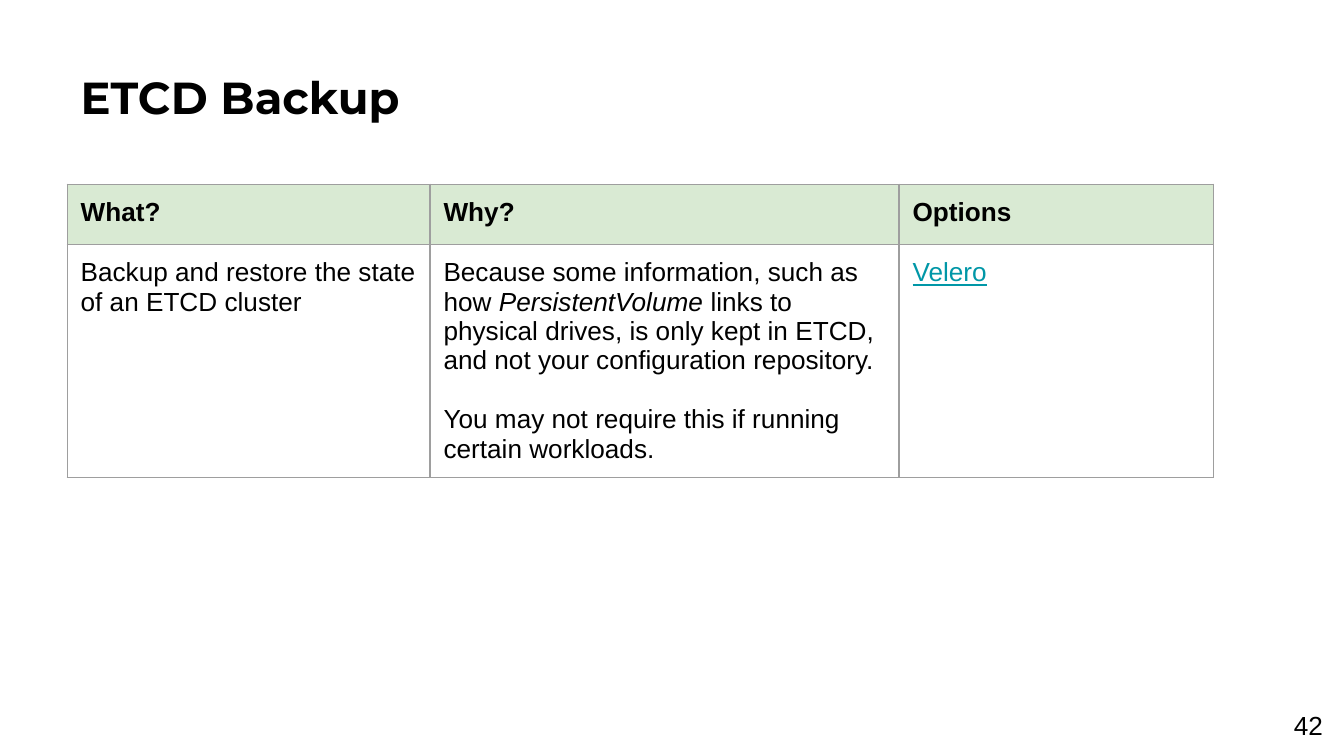
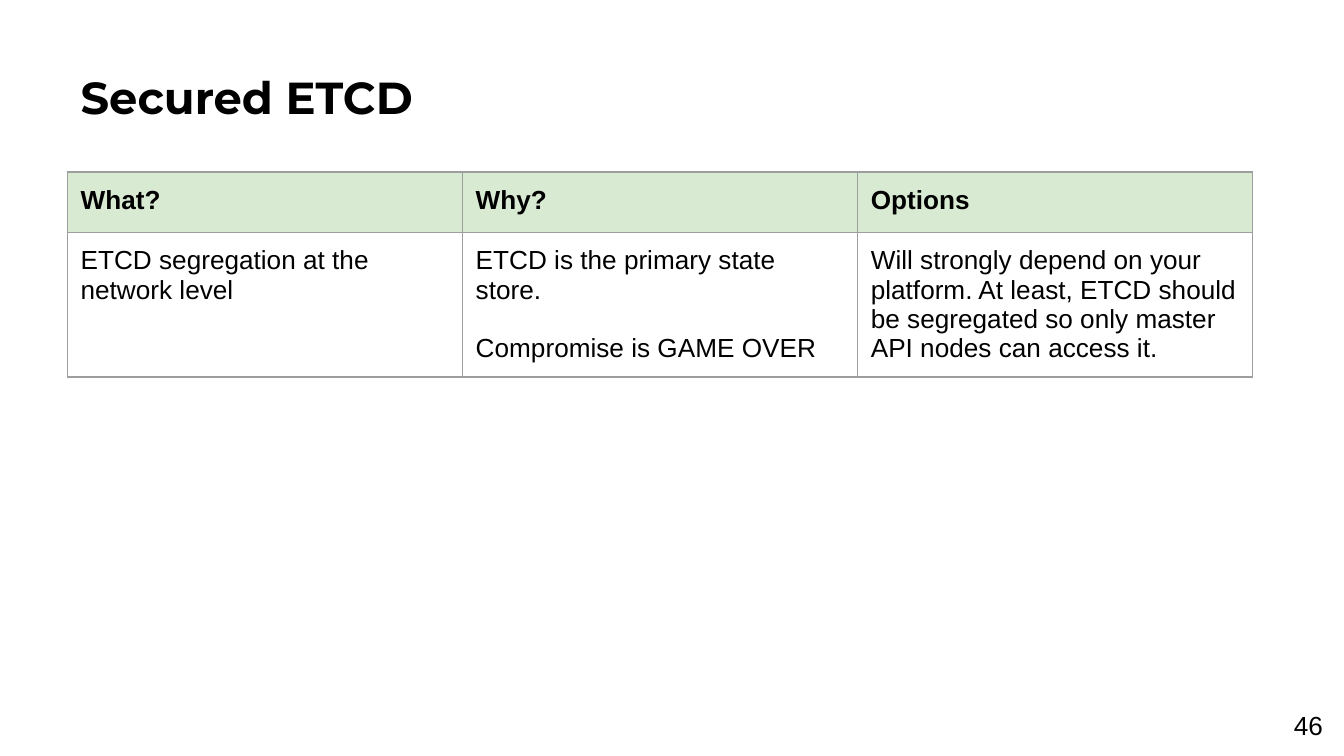
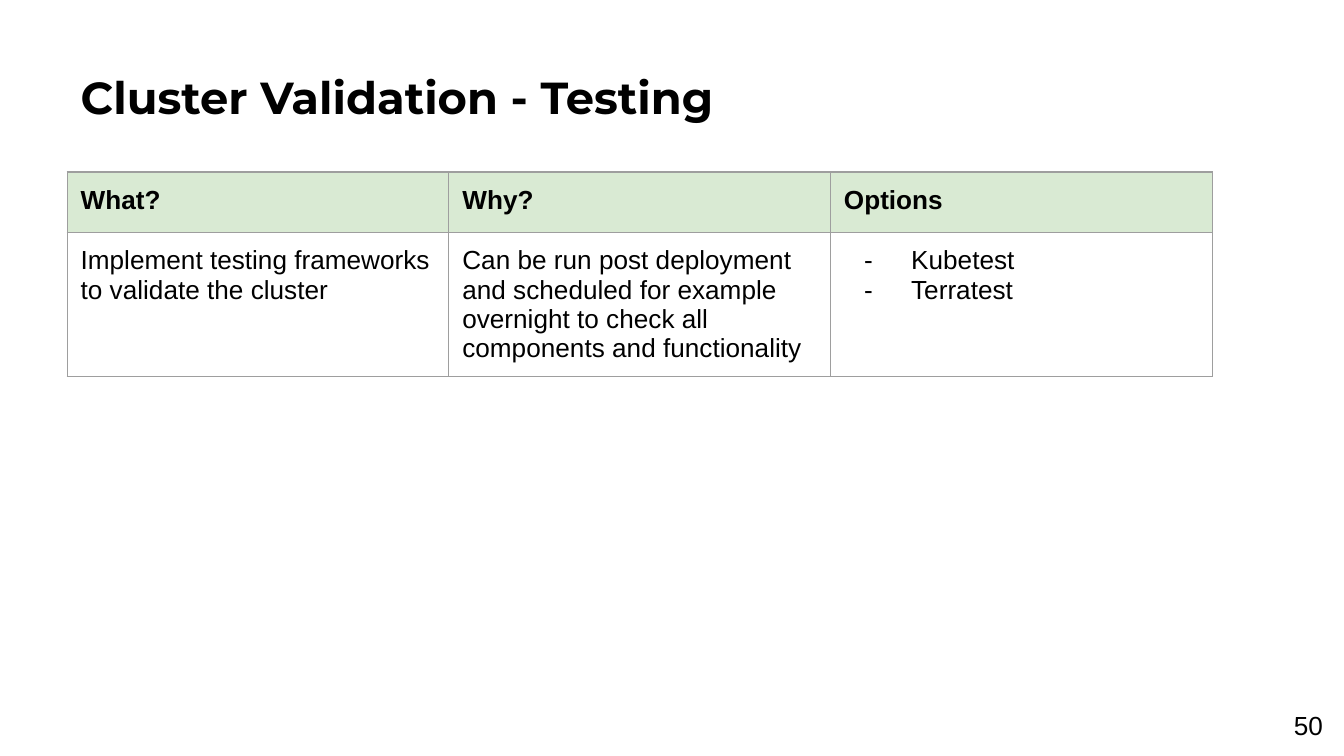
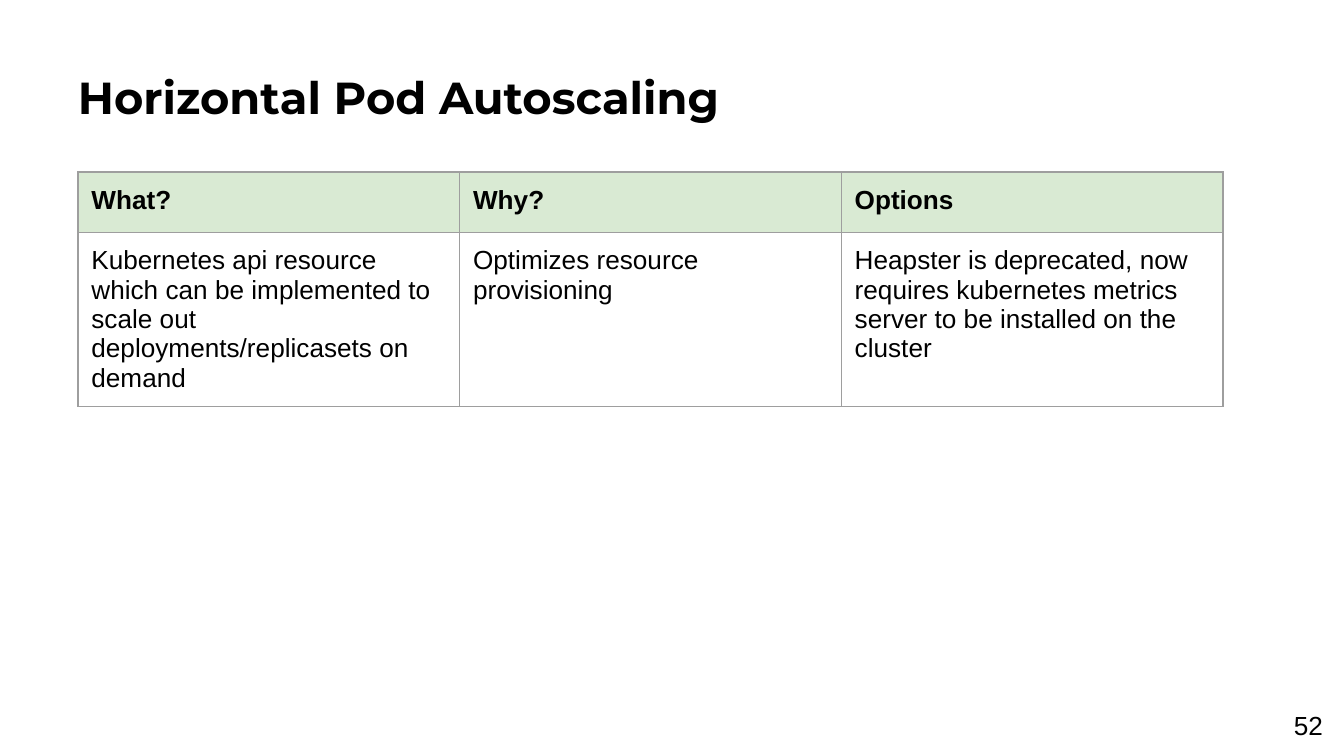
from lxml.etree import SubElement
from pptx import Presentation
from pptx.dml.color import RGBColor
from pptx.enum.text import MSO_ANCHOR, MSO_AUTO_SIZE, PP_ALIGN
from pptx.oxml.ns import qn
from pptx.util import Inches, Pt

# Shared style
BLACK = RGBColor(0x00, 0x00, 0x00)
LINK_TEAL = RGBColor(0x00, 0x97, 0xA7)
HEADER_GREEN = RGBColor(0xD9, 0xEA, 0xD3)
BORDER_GREY = RGBColor(0x9E, 0x9E, 0x9E)
TITLE_FONT, BODY_FONT = "Montserrat", "Arial"
INSET = Inches(0.1)
HEADERS = ["What?", "Why?", "Options"]
ROW_HEIGHTS = [0.45, 0.44]

# Each body cell is a list of paragraphs.
# Marks: *italic*, _link_, and a leading "- " for a dash bullet.
SLIDES = [
    dict(title="ETCD Backup", number="42", title_left=0.5,
         table_at=(0.5, 1.37), cols=[2.7, 3.49, 2.34],
         body=[["Backup and restore the state of an ETCD cluster"],
               ["Because some information, such as how *PersistentVolume* links to "
                "physical drives, is only kept in ETCD, and not your configuration "
                "repository.",
                "You may not require this if running certain workloads."],
               ["_Velero_"]]),
    dict(title="Secured ETCD", number="46", title_left=0.5,
         table_at=(0.5, 1.28), cols=[2.94] * 3,
         body=[["ETCD segregation at the network level"],
               ["ETCD is the primary state store.", "Compromise is GAME OVER"],
               ["Will strongly depend on your platform. At least, ETCD should be "
                "segregated so only master API nodes can access it."]]),
    dict(title="Cluster Validation - Testing", number="50", title_left=0.5,
         table_at=(0.5, 1.28), cols=[2.84] * 3,
         body=[["Implement testing frameworks to validate the cluster"],
               ["Can be run post deployment and scheduled for example overnight to "
                "check all components and functionality"],
               ["- Kubetest", "- Terratest"]]),
    dict(title="Horizontal Pod Autoscaling", number="52", title_left=0.48,
         table_at=(0.58, 1.28), cols=[2.84] * 3,
         body=[["Kubernetes api resource which can be implemented to scale out "
                "deployments/replicasets on demand"],
               ["Optimizes resource provisioning"],
               ["Heapster is deprecated, now requires kubernetes metrics server to "
                "be installed on the cluster"]]),
]


def style_text(tf, font, size, bold, align, anchor):
    tf.word_wrap = True
    tf.auto_size = MSO_AUTO_SIZE.NONE
    tf.vertical_anchor = anchor
    tf.margin_left = tf.margin_right = tf.margin_top = tf.margin_bottom = INSET
    p = tf.paragraphs[0]
    p.alignment = align
    f = p.runs[0].font
    f.name, f.size, f.bold = font, Pt(size), bold
    f.color.rgb = BLACK


def fill_cell(cell, paragraphs, header):
    cell.margin_left = cell.margin_right = INSET
    cell.margin_top = cell.margin_bottom = INSET
    # Borders come before the fill in the cell properties
    tcPr = cell._tc.get_or_add_tcPr()
    for side in ("lnL", "lnR", "lnT", "lnB"):
        ln = SubElement(tcPr, qn(f"a:{side}"), w=str(Pt(0.75)))
        SubElement(SubElement(ln, qn("a:solidFill")), qn("a:srgbClr"), val=str(BORDER_GREY))
    if header:
        cell.fill.solid()
        cell.fill.fore_color.rgb = HEADER_GREEN
    else:
        cell.fill.background()

    tf = cell.text_frame
    for i, text in enumerate(paragraphs):
        p = tf.paragraphs[0] if i == 0 else tf.add_paragraph()
        if text.startswith("- "):
            text = text[2:]
            pPr = p._p.get_or_add_pPr()
            pPr.set("marL", str(Inches(0.5)))
            pPr.set("indent", str(Inches(-0.35)))
            SubElement(SubElement(pPr, qn("a:buClr")), qn("a:srgbClr"), val=str(BLACK))
            SubElement(pPr, qn("a:buFont"), typeface=BODY_FONT)
            SubElement(pPr, qn("a:buChar"), char="-")
        elif i > 0:
            p.space_before = Pt(15.75)  # one line
        is_link = text.startswith("_")
        for j, part in enumerate(text.strip("_").split("*")):
            r = p.add_run()
            r.text = part
            f = r.font
            f.name, f.size, f.bold = BODY_FONT, Pt(14), header
            f.italic = j % 2 == 1
            f.underline = is_link
            f.color.rgb = LINK_TEAL if is_link else BLACK


# Widescreen 16:9 page
prs = Presentation()
prs.slide_width = Inches(10)
prs.slide_height = prs.slide_width * 9 // 16

for page in SLIDES:
    s = prs.slides.add_slide(prs.slide_layouts[5])

    # Title
    title = s.shapes.title
    title.left, title.top = Inches(page["title_left"]), Inches(0.42)
    title.width, title.height = Inches(9.03), Inches(0.65)
    title.text_frame.text = page["title"]
    style_text(title.text_frame, TITLE_FONT, 24, True, PP_ALIGN.LEFT, MSO_ANCHOR.TOP)

    # Page number
    number = s.shapes.add_textbox(Inches(9.49), Inches(5.18), Inches(0.49), Inches(0.43))
    number.text_frame.text = page["number"]
    style_text(number.text_frame, BODY_FONT, 14, False, PP_ALIGN.CENTER, MSO_ANCHOR.MIDDLE)

    # Table
    left, top = page["table_at"]
    table = s.shapes.add_table(2, 3, Inches(left), Inches(top),
                               Inches(sum(page["cols"])), Inches(sum(ROW_HEIGHTS))).table
    table.first_row = table.horz_banding = False
    for row, height in zip(table.rows, ROW_HEIGHTS):
        row.height = Inches(height)
    for c, width in enumerate(page["cols"]):
        table.columns[c].width = Inches(width)
        fill_cell(table.cell(0, c), [HEADERS[c]], True)
        fill_cell(table.cell(1, c), page["body"][c], False)

prs.save("out.pptx")
